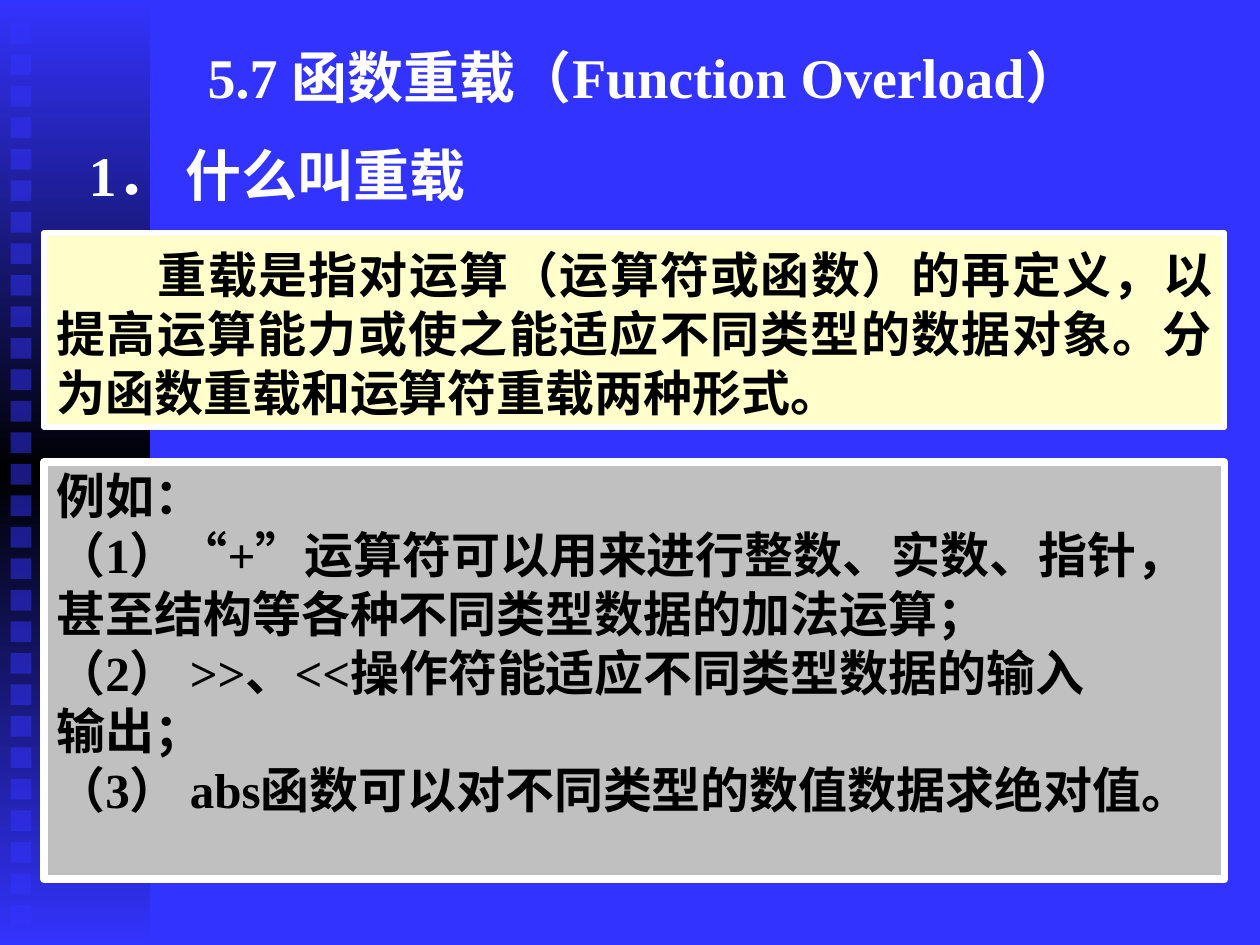
from copy import deepcopy

from pptx import Presentation
from pptx.dml.color import RGBColor
from pptx.enum import shapes, text
from pptx.oxml import ns, xmlchemy
from pptx.util import Pt

BLUE = RGBColor(0x33, 0x33, 0xFF)
BLACK = RGBColor(0, 0, 0)
WHITE = RGBColor(0xFF, 0xFF, 0xFF)
CREAM = RGBColor(0xFF, 0xFF, 0xCC)
GREY = RGBColor(0xC0, 0xC0, 0xC0)
FONT = "Times New Roman"

TITLE = "5.7 函数重载（Function Overload）"
HEADING = "1． 什么叫重载"
DEFINITION = (
    "重载是指对运算（运算符或函数）的再定义，以提高运算能力或使之能适应"
    "不同类型的数据对象。分为函数重载和运算符重载两种形式。"
)
EXAMPLES = [
    "例如：",
    "（1）“+”运算符可以用来进行整数、实数、指针，",
    "甚至结构等各种不同类型数据的加法运算；",
    "（2） >>、<<操作符能适应不同类型数据的输入",
    "输出；",
    "（3） abs函数可以对不同类型的数值数据求绝对值。",
]

WIDTH, HEIGHT = 720, 540
STRIP_WIDTH = 85.7
SQUARE_COUNT, SQUARE_SIZE, SQUARE_PITCH = 29, 12, 18
SQUARE_LEFT, SQUARE_TOP = 6, 13
PANEL_LEFT, PANEL_WIDTH = 25.2, 674.6


def add_rectangle(slide, left, top, width, height):
    shape = slide.shapes.add_shape(
        shapes.MSO_SHAPE.RECTANGLE, Pt(left), Pt(top), Pt(width), Pt(height))
    shape.shadow.inherit = False
    shape.line.fill.background()
    return shape


def add_panel(slide, top, height, color, border):
    panel = add_rectangle(slide, PANEL_LEFT, top, PANEL_WIDTH, height)
    panel.fill.solid()
    panel.fill.fore_color.rgb = color
    panel.line.color.rgb = WHITE
    panel.line.width = Pt(border)
    return panel


def write(shape, lines, size=28, color=BLACK, align=text.PP_ALIGN.LEFT,
          anchor=text.MSO_ANCHOR.TOP, left=7.2, top=3.6, indent=0, wrap=True):
    frame = shape.text_frame
    frame.word_wrap = wrap
    frame.vertical_anchor = anchor
    frame.margin_left, frame.margin_right = Pt(left), Pt(7.2)
    frame.margin_top, frame.margin_bottom = Pt(top), Pt(3.6)
    for number, line in enumerate(lines):
        paragraph = frame.add_paragraph() if number else frame.paragraphs[0]
        paragraph.alignment = align
        if indent:
            paragraph._p.get_or_add_pPr().set("indent", str(Pt(indent)))
        run = paragraph.add_run()
        run.text = line
        run.font.name = FONT
        run.font.size = Pt(size)
        run.font.bold = True
        run.font.color.rgb = color


def add_strip(slide):
    """Vertical blue-black-blue band with a column of translucent squares."""
    strip = add_rectangle(slide, 0, 0, STRIP_WIDTH, HEIGHT)
    strip.fill.gradient()
    strip.fill.gradient_angle = 90
    stop_list = strip._element.spPr.find(ns.qn("a:gradFill")).find(ns.qn("a:gsLst"))
    stop_list.insert(1, deepcopy(stop_list[0]))
    for stop, color, position in zip(
            strip.fill.gradient_stops, (BLUE, BLACK, BLUE), (0, 0.5, 1)):
        stop.color.rgb = color
        stop.position = position

    for row in range(SQUARE_COUNT):
        square = add_rectangle(slide, SQUARE_LEFT, SQUARE_TOP + row * SQUARE_PITCH,
                               SQUARE_SIZE, SQUARE_SIZE)
        square.fill.solid()
        square.fill.fore_color.rgb = BLUE
        color_element = next(square._element.spPr.iter(ns.qn("a:srgbClr")))
        alpha = xmlchemy.OxmlElement("a:alpha")
        alpha.set("val", "50000")
        color_element.append(alpha)


def main():
    presentation = Presentation()
    presentation.slide_width, presentation.slide_height = Pt(WIDTH), Pt(HEIGHT)
    slide = presentation.slides.add_slide(presentation.slide_layouts[6])
    slide.background.fill.solid()
    slide.background.fill.fore_color.rgb = BLUE
    add_strip(slide)

    definition = add_panel(slide, 133.2, 110.9, CREAM, 3)
    write(definition, [DEFINITION], align=text.PP_ALIGN.JUSTIFY, top=6.5, indent=58)

    title = slide.shapes.add_textbox(Pt(87.8), Pt(15.1), Pt(560.9), Pt(56.9))
    write(title, [TITLE], size=32, color=WHITE, align=text.PP_ALIGN.CENTER,
          anchor=text.MSO_ANCHOR.MIDDLE)

    heading = slide.shapes.add_textbox(Pt(19.4), Pt(77), Pt(553.7), Pt(41.8))
    write(heading, [HEADING], size=32, color=WHITE, left=31.2)

    examples = add_panel(slide, 264.2, 238.3, GREY, 4.5)
    write(examples, EXAMPLES, top=1.8, wrap=False)

    presentation.save("out.pptx")


if __name__ == "__main__":
    main()
